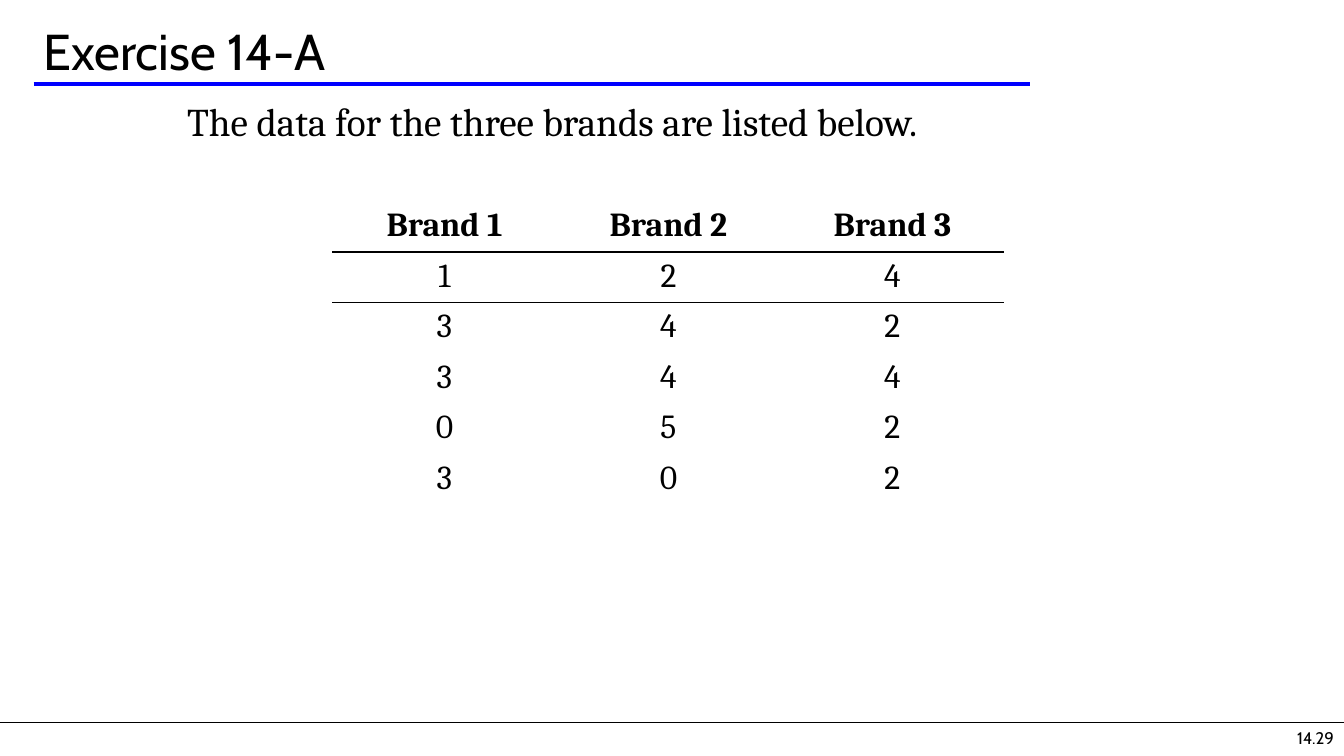
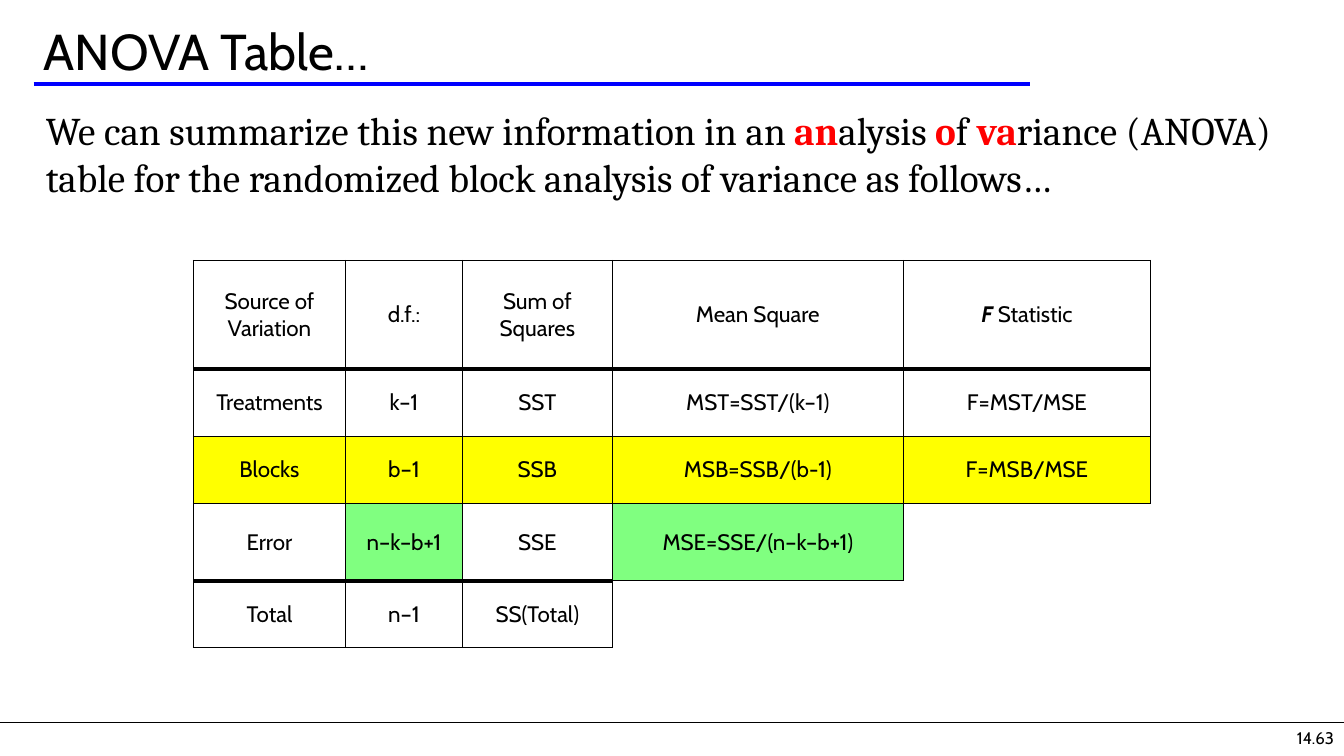
from dataclasses import dataclass

from lxml import etree
from pptx import Presentation
from pptx import util as u
from pptx.dml.color import RGBColor
from pptx.enum import shapes, text
from pptx.oxml import ns

Pt = u.Pt


@dataclass(frozen=True)
class Theme:
    ink: str = "000000"
    rule: str = "0000FF"
    accent: str = "FF0000"
    blocks: str = "FFFF00"
    error: str = "80FF80"
    sans: str = "Cabin"
    serif: str = "Cambria"
    title: float = 36
    body: float = 28
    data: float = 24
    grid: float = 16
    number: float = 12


T = Theme()
STRONG = {"bold": True, "color": T.accent}
WIDTH, HEIGHT = 960, 540
TITLE_BOX = (24, 12, 920, 48)
NUMBER_BOX = (760, 516, 200, 24)
RULES = [
    ((0, 516, WIDTH, 516), T.ink, 0.75),
    ((24, 60, 736, 60), T.rule, 2.5),
]

SLIDES = [
    {
        "title": "Exercise 14-A",
        "number": "14.29",
        "body": ["The data for the three brands are listed below."],
        "body_box": (126.5, 66, 701, 432),
        "table": {
            "rows": [
                ["Brand 1", "Brand 2", "Brand 3"],
                ["1", "2", "4"],
                ["3", "4", "2"],
                ["3", "4", "4"],
                ["0", "5", "2"],
                ["3", "0", "2"],
            ],
            "corner": (237.5, 144),
            "widths": [160] * 3,
            "heights": [34.8] * 6,
            "style": {"name": T.serif, "size": T.data},
            "bold_header": True,
            "anchor": text.MSO_ANCHOR.TOP,
            "space_before": 0,
            "grid": 0,
            "rules": {1: 1.5, 2: 1.5},
            "fills": {},
        },
    },
    {
        "title": "ANOVA Table…",
        "number": "14.63",
        "body": [
            "We can summarize this new information in an ",
            ("an", STRONG),
            "alysis ",
            ("o", STRONG),
            "f ",
            ("va", STRONG),
            "riance (ANOVA) table for the randomized block analysis of variance as follows…",
        ],
        "body_box": (25.5, 72, 934.5, 432),
        "table": {
            "rows": [
                ["Source of Variation", "d.f.:", "Sum of Squares", "Mean Square",
                 [("F", {"bold": True, "italic": True}), " Statistic"]],
                ["Treatments", "k–1", "SST", "MST=SST/(k–1)", "F=MST/MSE"],
                ["Blocks", "b–1", "SSB", "MSB=SSB/(b-1)", "F=MSB/MSE"],
                ["Error", "n–k–b+1", "SSE", "MSE=SSE/(n–k–b+1)", ""],
                ["Total", "n–1", "SS(Total)", "", ""],
            ],
            "corner": (138.2, 186),
            "widths": [108.6, 83.6, 107, 208, 176.4],
            "heights": [77.6, 48, 48, 55.2, 48],
            "style": {"name": T.sans, "size": T.grid},
            "bold_header": False,
            "anchor": text.MSO_ANCHOR.MIDDLE,
            "space_before": 3.2,
            "grid": 1,
            "rules": {1: 3, 4: 3},
            "fills": {**{(2, column): T.blocks for column in range(5)},
                      (3, 1): T.error, (3, 3): T.error},
        },
    },
]


def apply(target, **values):
    for name, value in values.items():
        setattr(target, name, value)


def place(shape, box):
    apply(shape, **dict(zip(("left", "top", "width", "height"), map(Pt, box))))


def write(paragraph, parts, **style):
    for part in [parts] if isinstance(parts, str) else parts:
        words, extra = (part, {}) if isinstance(part, str) else part
        look = {"color": T.ink, "bold": False, **style, **extra}
        run = paragraph.add_run()
        run.text = words
        run.font.color.rgb = RGBColor.from_string(look.pop("color"))
        apply(run.font, **{**look, "size": Pt(look["size"])})


def add_rules(slide, layout):
    for index, (ends, color, weight) in enumerate(RULES):
        rule = slide.shapes.add_connector(
            shapes.MSO_CONNECTOR.STRAIGHT, *map(Pt, ends))
        rule.line.color.rgb = RGBColor.from_string(color)
        rule.line.width = Pt(weight)
        etree.SubElement(rule.element.spPr, ns.qn("a:effectLst"))
        rule.element.nvCxnSpPr.cNvPr.id = 20 + index
        layout.shapes.element.append(rule.element)


def draw_edge(cell, side, weight):
    edge = etree.SubElement(
        cell._tc.get_or_add_tcPr(), ns.qn("a:ln" + side), w=str(Pt(weight)))
    if weight:
        fill = etree.SubElement(edge, ns.qn("a:solidFill"))
        etree.SubElement(fill, ns.qn("a:srgbClr"), val=T.ink)
    else:
        etree.SubElement(edge, ns.qn("a:noFill"))


def edge_weights(spec, row, column):
    rows = spec["rows"]

    def filled(r, c):
        return 0 <= r < len(rows) and 0 <= c < len(rows[0]) and bool(rows[r][c])

    sides = {"L": (0, -1, None), "R": (0, 1, None),
             "T": (-1, 0, row), "B": (1, 0, row + 1)}
    for side, (down, across, boundary) in sides.items():
        here = filled(row, column)
        there = filled(row + down, column + across)
        weight = spec["grid"] if here or there else 0
        if here and there:
            weight = spec["rules"].get(boundary, weight)
        yield side, weight


def add_table(slide, spec):
    rows, widths, heights = spec["rows"], spec["widths"], spec["heights"]
    box = (*spec["corner"], sum(widths), sum(heights))
    table = slide.shapes.add_table(
        len(rows), len(widths), *map(Pt, box)).table
    apply(table, first_row=False, horz_banding=False)
    for column, width in zip(table.columns, widths):
        column.width = Pt(width)
    for row, height in zip(table.rows, heights):
        row.height = Pt(height)
    for r, entries in enumerate(rows):
        for c, entry in enumerate(entries):
            cell = table.cell(r, c)
            cell.vertical_anchor = spec["anchor"]
            paragraph = cell.text_frame.paragraphs[0]
            apply(paragraph, alignment=text.PP_ALIGN.CENTER,
                  space_before=Pt(spec["space_before"]))
            if entry:
                write(paragraph, entry, **spec["style"],
                      bold=spec["bold_header"] and r == 0)
            for side, weight in edge_weights(spec, r, c):
                draw_edge(cell, side, weight)
            if (r, c) in spec["fills"]:
                cell.fill.solid()
                cell.fill.fore_color.rgb = RGBColor.from_string(spec["fills"][r, c])
            else:
                cell.fill.background()


def add_slide(deck, layout, content):
    slide = deck.slides.add_slide(layout)
    title, body = slide.placeholders
    apply(title.text_frame, auto_size=text.MSO_AUTO_SIZE.NONE,
          vertical_anchor=text.MSO_ANCHOR.MIDDLE)
    heading = title.text_frame.paragraphs[0]
    heading.alignment = text.PP_ALIGN.LEFT
    write(heading, content["title"], name=T.sans, size=T.title)

    place(body, content["body_box"])
    body.text_frame.auto_size = text.MSO_AUTO_SIZE.NONE
    intro = body.text_frame.paragraphs[0]
    intro.space_before = Pt(T.body * 0.2)
    properties = intro._p.get_or_add_pPr()
    apply(properties, marL=0, indent=0)
    for name in ("marL", "indent"):
        properties.set(name, "0")
    etree.SubElement(properties, ns.qn("a:buNone"))
    write(intro, content["body"], name=T.serif, size=T.body)

    number = slide.shapes.add_textbox(*map(Pt, NUMBER_BOX))
    number.text_frame.word_wrap = True
    page = number.text_frame.paragraphs[0]
    page.alignment = text.PP_ALIGN.RIGHT
    write(page, content["number"], name=T.sans, size=T.number)

    add_table(slide, content["table"])
    return slide


def main():
    deck = Presentation()
    apply(deck, slide_width=Pt(WIDTH), slide_height=Pt(HEIGHT))
    layout = deck.slide_layouts[1]
    place(layout.placeholders[0], TITLE_BOX)
    slides = [add_slide(deck, layout, content) for content in SLIDES]
    add_rules(slides[0], layout)
    deck.save("out.pptx")


if __name__ == "__main__":
    main()
